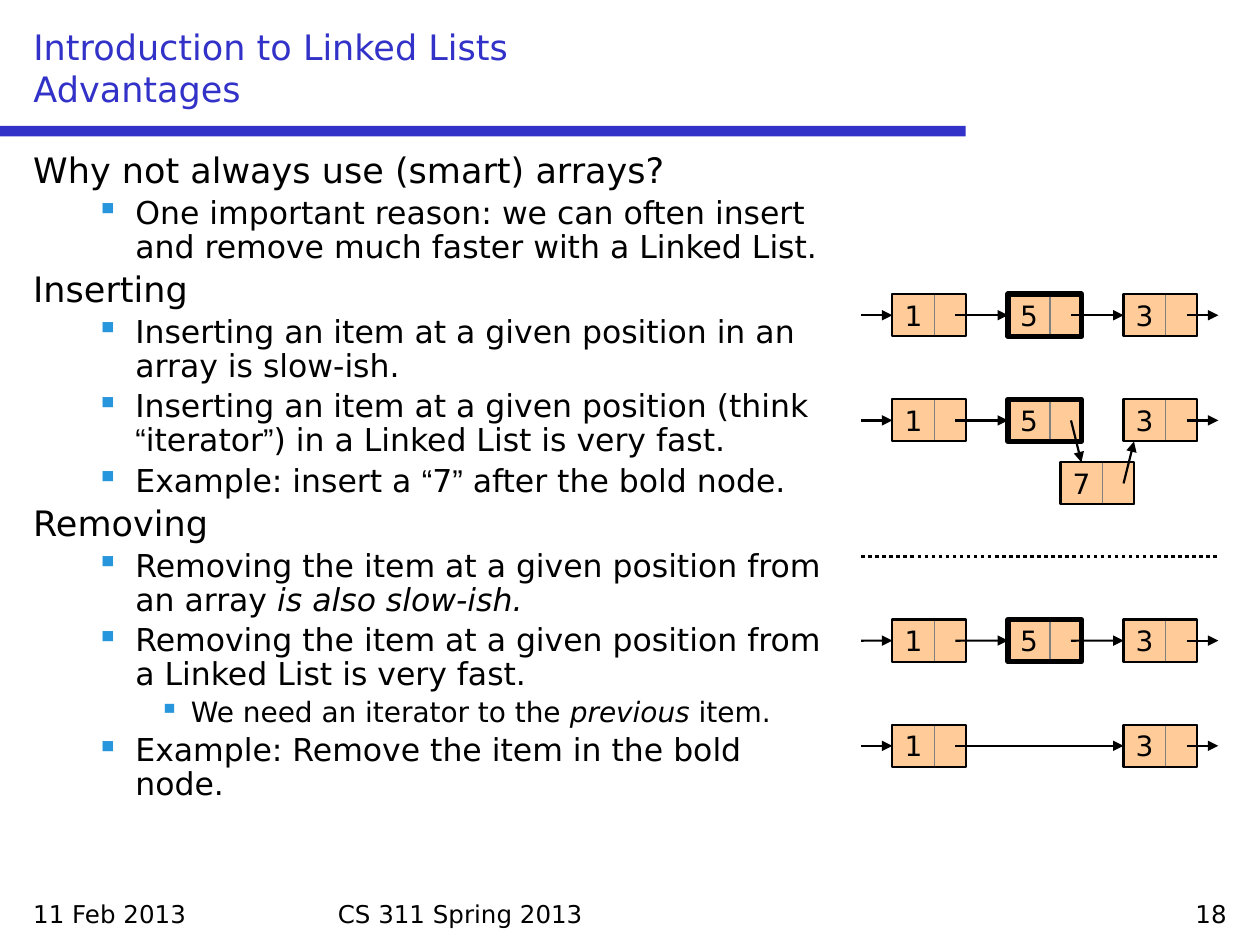
import pptx
import pptx.dml.color
import pptx.enum.dml
import pptx.enum.shapes
import pptx.enum.text
import pptx.oxml.ns
import pptx.util
from collections import namedtuple
from dataclasses import dataclass
from lxml import etree

Cm = pptx.util.Cm
ALIGN = pptx.enum.text.PP_ALIGN
ANCHOR = pptx.enum.text.MSO_ANCHOR
Box = namedtuple("Box", "left top width height")


@dataclass(frozen=True)
class Theme:
    font: str = "DejaVu Sans"
    quote_font: str = "Arial"
    accent: str = "3232C8"
    bullet: str = "2896DC"
    ink: str = "000000"
    node: str = "FFCC99"
    cell_line: str = "808080"
    title_size: int = 20
    body_sizes: tuple = (20, 18, 16)
    node_size: int = 16
    footer_size: int = 14
    thin: float = 0.75
    medium: float = 1.25
    dotted: float = 2
    bold: float = 3


THEME = Theme()
ITALIC = {"italic": True}
QUOTE = {"font": THEME.quote_font}

# Text indent and hanging indent of each level, in cm
INDENTS = ((0.95, -0.95), (2.06, -0.79), (3.18, -0.64))

# Level, then plain strings or (string, format) pairs
BODY = [
    (0, "Why not always use (smart) arrays?"),
    (1, "One important reason: we can often insert and remove much faster with a Linked List."),
    (0, "Inserting"),
    (1, "Inserting an item at a given position in an array is slow-ish."),
    (1, "Inserting an item at a given position (think ", ("“", QUOTE), "iterator",
     ("”", QUOTE), ") in a Linked List is very fast."),
    (1, "Example: insert a ", ("“", QUOTE), "7", ("”", QUOTE), " after the bold node."),
    (0, "Removing"),
    (1, "Removing the item at a given position from an array", (" is also slow-ish.", ITALIC)),
    (1, "Removing the item at a given position from a Linked List is very fast."),
    (2, "We need an iterator to the ", ("previous", ITALIC), " item."),
    (1, "Example: Remove the item in the bold node."),
]

# Linked-list geometry, in cm
DATA_WIDTH, LINK_WIDTH, NODE_HEIGHT = 0.85, 0.63, 0.85
NODE_WIDTH = DATA_WIDTH + LINK_WIDTH
NODE_STEP = 2.33
ARROW_LEAD = 0.63
LINK_START = NODE_WIDTH - 0.21
ROW_STEP = 2.12


def color(value):
    return pptx.dml.color.RGBColor.from_string(value)


def place(shape, box):
    shape.left, shape.top, shape.width, shape.height = map(Cm, box)


def add_run(paragraph, text, *, size, font=THEME.font, ink=THEME.ink, italic=False):
    run = paragraph.add_run()
    run.text = text
    run.font.name = font
    run.font.size = pptx.util.Pt(size)
    run.font.italic = italic
    run.font.color.rgb = color(ink)


def write(frame, text, *, align=ALIGN.LEFT, anchor=ANCHOR.TOP, wrap=True, **style):
    frame.word_wrap = wrap
    frame.auto_size = pptx.enum.text.MSO_AUTO_SIZE.NONE
    frame.vertical_anchor = anchor
    paragraph = frame.paragraphs[0]
    paragraph.alignment = align
    for number, line in enumerate(text.split("\n")):
        if number:
            paragraph.add_line_break()
        add_run(paragraph, line, **style)


def add_rectangle(slide, box, *, fill=None, line=None, width=THEME.thin):
    shape = slide.shapes.add_shape(pptx.enum.shapes.MSO_SHAPE.RECTANGLE, *map(Cm, box))
    shape.shadow.inherit = False
    if fill:
        shape.fill.solid()
        shape.fill.fore_color.rgb = color(fill)
    else:
        shape.fill.background()
    if line:
        shape.line.color.rgb = color(line)
        shape.line.width = pptx.util.Pt(width)
    else:
        shape.line.fill.background()
    return shape


def add_line(slide, start, end, *, width=THEME.medium, arrow=True):
    line = slide.shapes.add_connector(
        pptx.enum.shapes.MSO_CONNECTOR.STRAIGHT, *map(Cm, (*start, *end)))
    line.line.color.rgb = color(THEME.ink)
    line.line.width = pptx.util.Pt(width)
    if arrow:
        etree.SubElement(line.line._get_or_add_ln(),
                         pptx.oxml.ns.qn("a:tailEnd"), type="triangle")
    etree.SubElement(line._element.spPr, pptx.oxml.ns.qn("a:effectLst"))
    return line


def add_header(slide, box):
    title = slide.shapes.title
    place(title, box)
    write(title.text_frame, "Introduction to Linked Lists\nAdvantages",
          anchor=ANCHOR.BOTTOM, size=THEME.title_size, ink=THEME.accent)
    # Rule under the title, from the slide's left edge
    add_rectangle(slide, Box(0, box.top + box.height + 0.21, 19.47, 0.21), fill=THEME.accent)


def format_level(paragraph, level):
    paragraph.level = level
    properties = paragraph._p.get_or_add_pPr()
    margin, indent = INDENTS[level]
    properties.set("marL", str(Cm(margin)))
    properties.set("indent", str(Cm(indent)))
    if level:
        bullet_color = etree.SubElement(properties, pptx.oxml.ns.qn("a:buClr"))
        etree.SubElement(bullet_color, pptx.oxml.ns.qn("a:srgbClr"), val=THEME.bullet)
        etree.SubElement(properties, pptx.oxml.ns.qn("a:buChar"), char="▪")
    paragraph.line_spacing = 0.9


def add_body(slide, box):
    frame = slide.shapes.add_textbox(*map(Cm, box)).text_frame
    frame.word_wrap = True
    for number, (level, *pieces) in enumerate(BODY):
        paragraph = frame.add_paragraph() if number else frame.paragraphs[0]
        format_level(paragraph, level)
        size = THEME.body_sizes[level]
        if number:
            paragraph.space_before = pptx.util.Pt(0.2 * size)
        for piece in pieces:
            text, style = (piece, {}) if isinstance(piece, str) else piece
            add_run(paragraph, text, size=size, **style)


def add_node(slide, left, top, value, bold=False):
    """Draw a data cell, a link cell and the frame around both; return the frame."""
    cell = {"fill": THEME.node, "line": THEME.cell_line}
    data = add_rectangle(slide, Box(left, top, DATA_WIDTH, NODE_HEIGHT), **cell)
    write(data.text_frame, value, align=ALIGN.CENTER, anchor=ANCHOR.MIDDLE,
          wrap=False, size=THEME.node_size)
    add_rectangle(slide, Box(left + DATA_WIDTH, top, LINK_WIDTH, NODE_HEIGHT), **cell)
    return add_rectangle(slide, Box(left, top, NODE_WIDTH, NODE_HEIGHT), line=THEME.ink,
                         width=THEME.bold if bold else THEME.medium)


def add_list(slide, box, values="153", unlinked=""):
    """Draw one list; a space skips a slot, and unlinked nodes get no straight arrow."""
    middle = box.top + NODE_HEIGHT / 2
    start = box.left
    for slot, value in enumerate(values):
        if value == " ":
            continue
        left = box.left + ARROW_LEAD + slot * NODE_STEP
        frame = add_node(slide, left, box.top, value, bold=value == "5")
        if start is not None:
            add_line(slide, (start, middle), (left, middle)).end_connect(frame, 1)
        start = None if value in unlinked else left + LINK_START
    add_line(slide, (start, middle), (box.left + box.width, middle))


def add_insertion(slide, box):
    add_list(slide, box)
    top = box.top + ROW_STEP
    add_list(slide, box._replace(top=top), unlinked="5")
    # New node hangs below the gap between 5 and 3
    left, new_top = box.left + 4.02, top + 1.27
    add_node(slide, left, new_top, "7")
    link = left + 0.21
    add_line(slide, (link, top + NODE_HEIGHT / 2), (link + 0.21, new_top))
    add_line(slide, (left + LINK_START, new_top + NODE_HEIGHT / 2),
             (left + NODE_WIDTH, top + NODE_HEIGHT))


def add_removal(slide, box):
    add_list(slide, box)
    add_list(slide, box._replace(top=box.top + ROW_STEP), values="1 3")


def add_diagrams(slide, box):
    add_insertion(slide, box)
    divider = box.top + 5.29
    line = add_line(slide, (box.left, divider), (box.left + box.width, divider),
                    width=THEME.dotted, arrow=False)
    line.line.dash_style = pptx.enum.dml.MSO_LINE.ROUND_DOT
    add_removal(slide, box._replace(top=box.top + 6.56))


def add_footer(slide, box):
    parts = (("11 Feb 2013", 0, 5.93, ALIGN.LEFT),
             ("CS 311 Spring 2013", 6.14, 12.28, ALIGN.LEFT),
             ("18", 18.63, 5.93, ALIGN.RIGHT))
    for text, offset, width, align in parts:
        part = box._replace(left=box.left + offset, width=width)
        shape = slide.shapes.add_textbox(*map(Cm, part))
        write(shape.text_frame, text, align=align, size=THEME.footer_size)


def main():
    presentation = pptx.Presentation()
    presentation.slide_width, presentation.slide_height = Cm(25.4), Cm(19.05)
    slide = presentation.slides.add_slide(presentation.slide_layouts[5])
    add_header(slide, Box(0.42, 0.42, 24.56, 1.91))
    add_body(slide, Box(0.42, 2.96, 16.51, 14.82))
    add_diagrams(slide, Box(17.36, 5.93, 7.2, 9.53))
    add_footer(slide, Box(0.42, 17.99, 24.56, 0.85))
    presentation.save("out.pptx")


if __name__ == "__main__":
    main()
